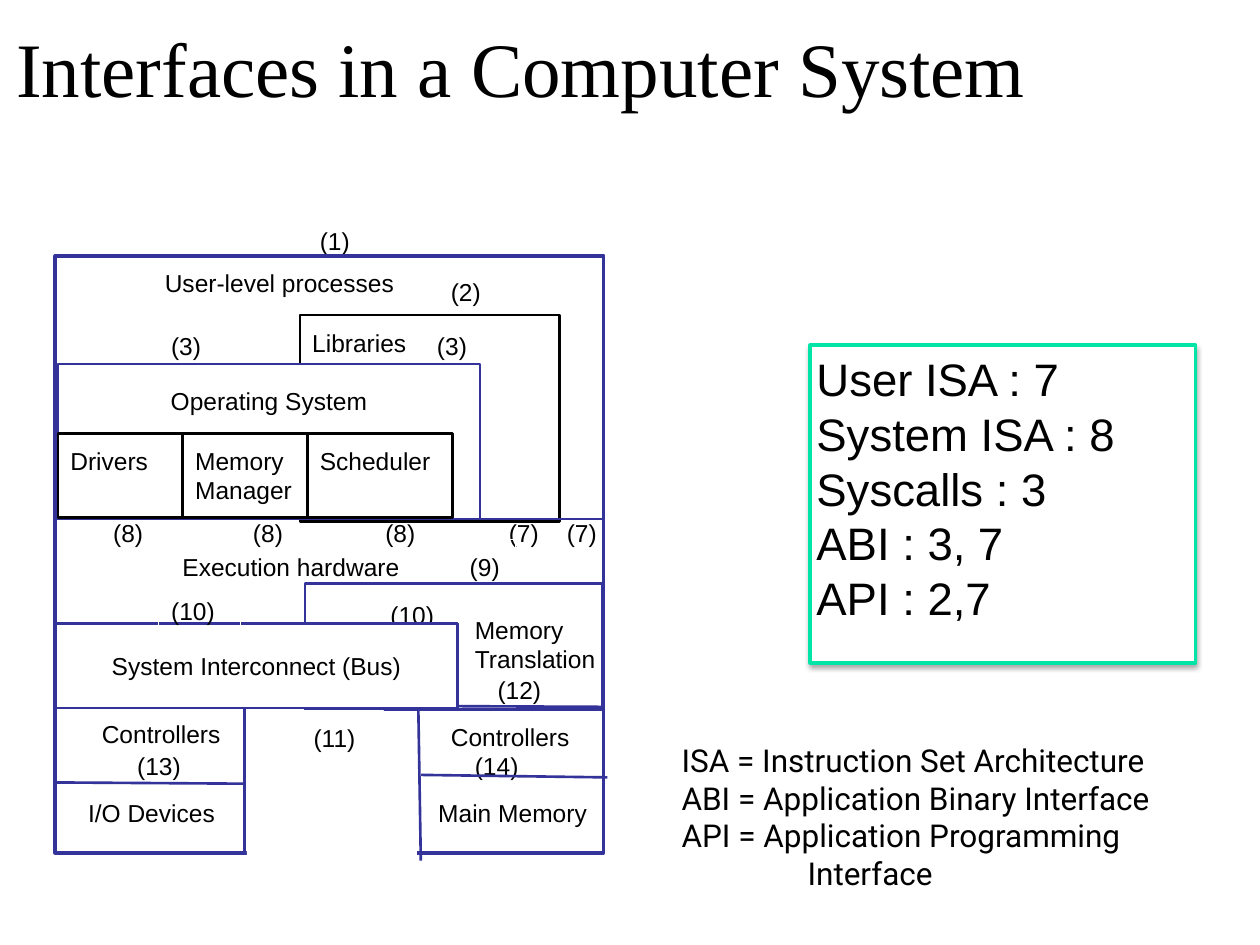
from dataclasses import dataclass

from lxml import etree
from pptx import Presentation
from pptx.dml.color import RGBColor
from pptx.enum.shapes import MSO_CONNECTOR, MSO_SHAPE
from pptx.enum.text import MSO_ANCHOR, PP_ALIGN
from pptx.oxml.ns import qn
from pptx.util import Inches, Pt

RECT = MSO_SHAPE.RECTANGLE
STRAIGHT = MSO_CONNECTOR.STRAIGHT
TOP, MIDDLE = MSO_ANCHOR.TOP, MSO_ANCHOR.MIDDLE
LEFT, CENTER = PP_ALIGN.LEFT, PP_ALIGN.CENTER

CELL = 0.1  # inches; the slide is a grid of 100 columns by 75 rows
BLUE, BLACK, WHITE, GREEN = "333399", "000000", "FFFFFF", "00E4A8"


@dataclass
class Box:
    left: float
    top: float
    width: float
    height: float

    def inside(self, left, top, width, height):
        return Box(self.left + left, self.top + top, width, height)

    def lengths(self):
        cells = (self.left, self.top, self.width, self.height)
        return [grid(value) for value in cells]


def grid(cells):
    return Inches(cells * CELL)


def color(value):
    return RGBColor.from_string(value)


def write(shape, lines, size=14, font="Arial", inset=1, align=LEFT, anchor=TOP):
    frame = shape.text_frame
    frame.word_wrap = True
    frame.vertical_anchor = anchor
    frame.margin_left = frame.margin_right = grid(inset)
    frame.margin_top = frame.margin_bottom = grid(inset)
    for number, line in enumerate(lines):
        para = frame.add_paragraph() if number else frame.paragraphs[0]
        para.alignment = align
        span = para.add_run()
        span.text = line
        span.font.size = Pt(size)
        span.font.name = font
        span.font.color.rgb = color(BLACK)
    return frame


def add_caption(page, box, *lines, **style):
    return write(page.shapes.add_textbox(*box.lengths()), lines, **style)


def add_block(page, box, line=BLUE, weight=1.5, fill=None):
    shape = page.shapes.add_shape(RECT, *box.lengths())
    shape.shadow.inherit = False
    if fill:
        shape.fill.solid()
        shape.fill.fore_color.rgb = color(fill)
    else:
        shape.fill.background()
    if line:
        shape.line.color.rgb = color(line)
        shape.line.width = Pt(weight)
    else:
        shape.line.fill.background()
    return shape


def add_rule(page, box, start, end):
    ends = [grid(value) for x, y in (start, end)
            for value in (box.left + x, box.top + y)]
    rule = page.shapes.add_connector(STRAIGHT, *ends)
    rule.line.color.rgb = color(BLUE)
    rule.line.width = Pt(1.5)
    etree.SubElement(rule._element.spPr, qn("a:effectLst"))


def add_numbers(page, box, numbers):
    """Place interface numbers, each in its own white frame."""
    for number, left, top in numbers:
        width = 4.6 if number < 10 else 6.5
        frame = add_block(page, box.inside(left, top, width, 5), WHITE, 0.75)
        write(frame, [f"({number})"])


def draw_title(page, box):
    add_caption(page, box, "Interfaces in a Computer System",
                size=44, font="Times New Roman")


def draw_software(page, box):
    system = box.inside(0.2, 8.6, 33.5, 12.3)
    add_block(page, system, fill=WHITE)
    add_caption(page, system.inside(0, 0.7, 33.5, 4.2), "Operating System",
                align=CENTER)
    left = 0
    for name, width in (("Drivers", 9.9), ("Memory Manager", 9.9),
                        ("Scheduler", 11.5)):
        part = add_block(page, system.inside(left, 5.5, width, 6.7), BLACK)
        write(part, [name])
        left += width


def draw_hardware(page, box):
    for start, end in (((0, 20.9), (43.5, 20.9)), ((0.2, 35.6), (43.5, 35.8)),
                       ((15, 35.6), (15, 47.3)), ((28.8, 35.7), (29, 48))):
        add_rule(page, box, start, end)
    # Open the bottom edge between the devices and the memory
    add_block(page, box.inside(15.2, 46.6, 13.5, 2.3), line=None, fill=WHITE)
    add_rule(page, box, (0, 41.8), (15, 41.9))
    add_rule(page, box, (29, 41.2), (43.8, 41.4))
    add_block(page, box.inside(19.8, 26, 23.6, 10))
    bus = add_block(page, box.inside(0, 29.2, 31.9, 6.7), fill=WHITE)
    write(bus, ["System Interconnect (Bus)"], align=CENTER, anchor=MIDDLE)


def draw_stack(page, box):
    add_numbers(page, box, [
        (7, 35, 19.8), (9, 31.9, 22.5), (10, 25.6, 26.3), (13, 5.5, 38.3),
        (14, 32.3, 38.3), (12, 34.1, 32.3), (7, 39.6, 19.8), (8, 25.2, 19.8),
        (8, 3.6, 19.8), (8, 14.7, 19.8), (3, 29.3, 5), (3, 8.2, 5),
        (2, 30.4, 0.7), (1, 20, -3.4)])
    write(add_block(page, box.inside(19.4, 4.7, 20.6, 16.4), BLACK),
          ["Libraries"])
    add_block(page, box, weight=2.25)
    draw_hardware(page, box)
    draw_software(page, box)
    for name, left, top, width in (
            ("User-level processes", 7.7, 0, 22.7),
            ("Execution hardware", 9.1, 22.5, 22.3),
            ("Memory Translation", 32.3, 27.5, 15),
            ("Controllers", 2.7, 35.8, 12),
            ("I/O Devices", 1.6, 42, 17.8),
            ("Controllers", 30.4, 36, 12),
            ("Main Memory", 29.4, 42, 17.7)):
        add_caption(page, box.inside(left, top, width, 4.2), name)
    add_numbers(page, box, [(10, 8.2, 26), (11, 19.5, 36.1)])


def draw_answers(page, box):
    panel = add_block(page, box, GREEN, 2, WHITE)
    effects = panel._element.spPr.find(qn("a:effectLst"))
    shadow = etree.SubElement(effects, qn("a:outerShdw"), blurRad=str(Pt(3)),
                              dist=str(Pt(1.8)), dir="5400000", rotWithShape="0")
    tint = etree.SubElement(shadow, qn("a:srgbClr"), val=BLACK)
    etree.SubElement(tint, qn("a:alpha"), val="35000")
    write(panel, ["User ISA : 7", "System ISA : 8", "Syscalls : 3",
                  "ABI : 3, 7", "API : 2,7"], size=26, inset=0.5)


def draw_glossary(page, box):
    frame = add_caption(page, box, "ISA = Instruction Set Architecture",
                        "ABI = Application Binary Interface",
                        "API = Application Programming", "Interface",
                        size=18, font="Roboto", inset=0.5)
    frame.paragraphs[-1]._p.get_or_add_pPr().set("marL", str(grid(10)))


def main():
    deck = Presentation()
    deck.slide_width, deck.slide_height = grid(100), grid(75)
    page = deck.slides.add_slide(deck.slide_layouts[6])
    draw_title(page, Box(0.3, 0.6, 98.3, 10))
    draw_answers(page, Box(64.3, 27.4, 30.6, 25.2))
    draw_glossary(page, Box(53.6, 58.3, 46, 13.2))
    draw_stack(page, Box(4.4, 20.3, 43.5, 47.4))
    deck.save("out.pptx")


if __name__ == "__main__":
    main()
